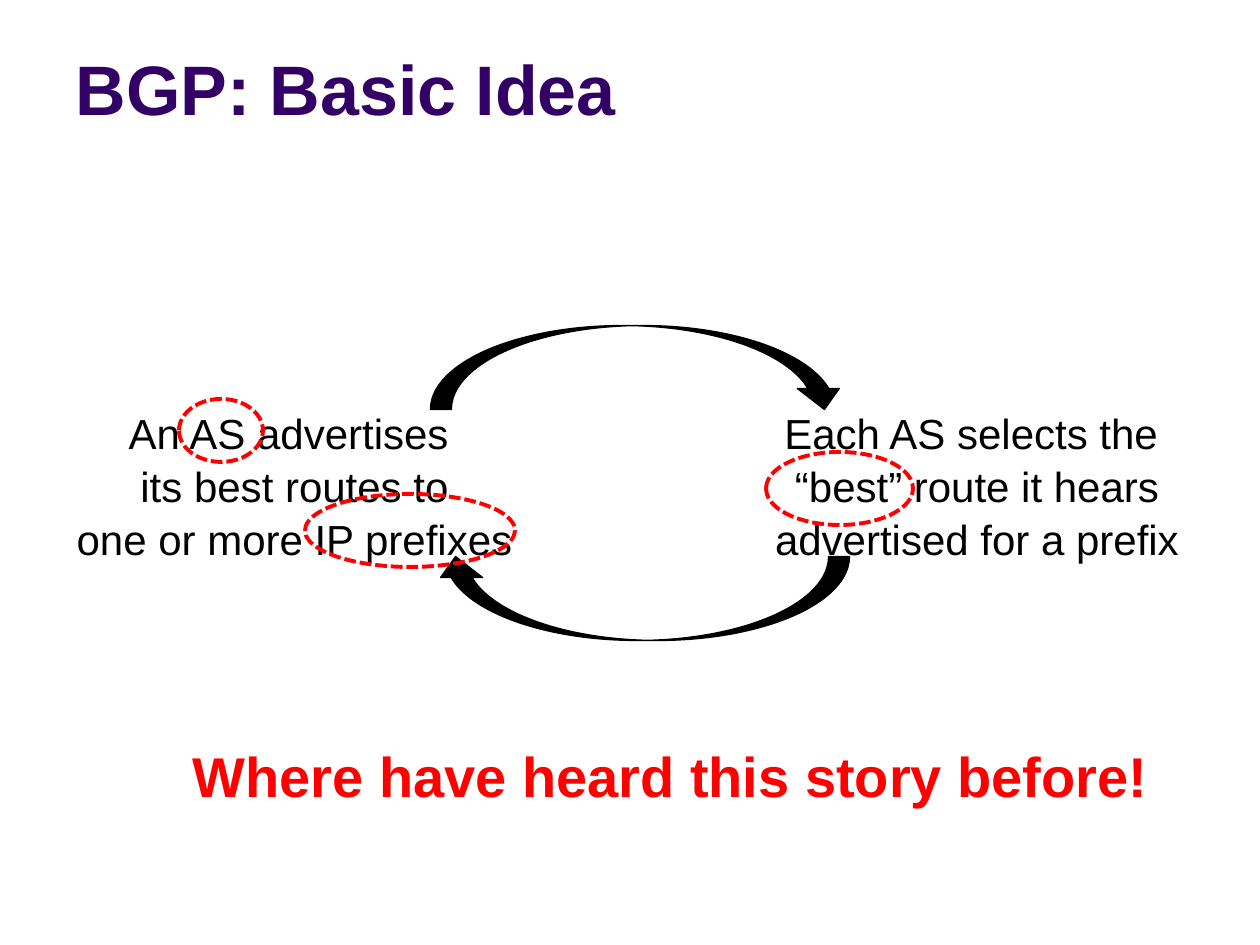
from pptx import Presentation
from pptx.dml.color import RGBColor
from pptx.enum.dml import MSO_LINE
from pptx.enum.shapes import MSO_SHAPE
from pptx.enum.text import MSO_ANCHOR, PP_ALIGN
from pptx.util import Emu, Pt

PX = 914400 / 126
LEFT, CENTER, RIGHT = PP_ALIGN.LEFT, PP_ALIGN.CENTER, PP_ALIGN.RIGHT
TOP, BOTTOM = MSO_ANCHOR.TOP, MSO_ANCHOR.BOTTOM
OVAL, CURVED_ARROW = MSO_SHAPE.OVAL, MSO_SHAPE.CURVED_LEFT_ARROW
DASH = MSO_LINE.SQUARE_DOT
FONT = "Arial"
COLORS = {"title": "330066", "text": "000000", "accent": "FF0000"}


def px(n):
    return Emu(round(n * PX))


def rgb(name):
    return RGBColor.from_string(COLORS[name])


def write(sp, text, size=24, color="text", bold=False, align=CENTER,
          anchor=TOP, wrap=True, spacing=1.0):
    tf = sp.text_frame
    tf.word_wrap = wrap
    tf.vertical_anchor = anchor
    p = tf.paragraphs[0]
    p.text = text
    p.alignment = align
    p.line_spacing = spacing
    for r in p.runs:
        r.font.name = FONT
        r.font.size = Pt(size)
        r.font.bold = bold
        r.font.color.rgb = rgb(color)


def add_title(s, text, box):
    sp = s.shapes.title
    sp.left, sp.top, sp.width, sp.height = map(px, box)
    write(sp, text, size=40, color="title", bold=True, align=LEFT, anchor=BOTTOM)


def add_text(s, text, box, **fmt):
    sp = s.shapes.add_textbox(*map(px, box))
    write(sp, text, **fmt)
    return sp


def add_arrow(s, box, rotation):
    sp = s.shapes.add_shape(CURVED_ARROW, *map(px, box))
    sp.shadow.inherit = False
    sp.rotation = rotation
    sp.fill.solid()
    sp.fill.fore_color.rgb = rgb("text")
    sp.line.color.rgb = rgb("text")
    sp.line.width = Pt(0.75)


def add_highlight(s, box):
    sp = s.shapes.add_shape(OVAL, *map(px, box))
    sp.shadow.inherit = False
    sp.fill.background()
    sp.line.color.rgb = rgb("accent")
    sp.line.width = Pt(2.25)
    sp.line.dash_style = DASH


def main():
    prs = Presentation()
    prs.slide_width, prs.slide_height = px(1260), px(945)
    s = prs.slides.add_slide(prs.slide_layouts[5])
    add_title(s, "BGP: Basic Idea", (63, -25, 1134, 161))
    add_text(s, "Each AS selects the \n“best” route it hears advertised for a prefix",
             (683, 399, 588, 179), spacing=1.05)
    add_arrow(s, (596, 160, 84, 415), 270)
    add_text(s, "An AS advertises \n its best routes to \none or more IP prefixes",
             (32, 399, 525, 179), spacing=1.05)
    add_arrow(s, (600, 391, 84, 415), 90)
    question = add_text(s, "Where have heard this story before!", (179, 735, 990, 81),
                        size=32, color="accent", bold=True, align=RIGHT, wrap=False)
    question.text_frame.margin_right = px(20)
    for box in ((179, 399, 84, 63), (305, 494, 210, 73), (766, 452, 147, 73)):
        add_highlight(s, box)
    prs.save("out.pptx")


if __name__ == "__main__":
    main()
